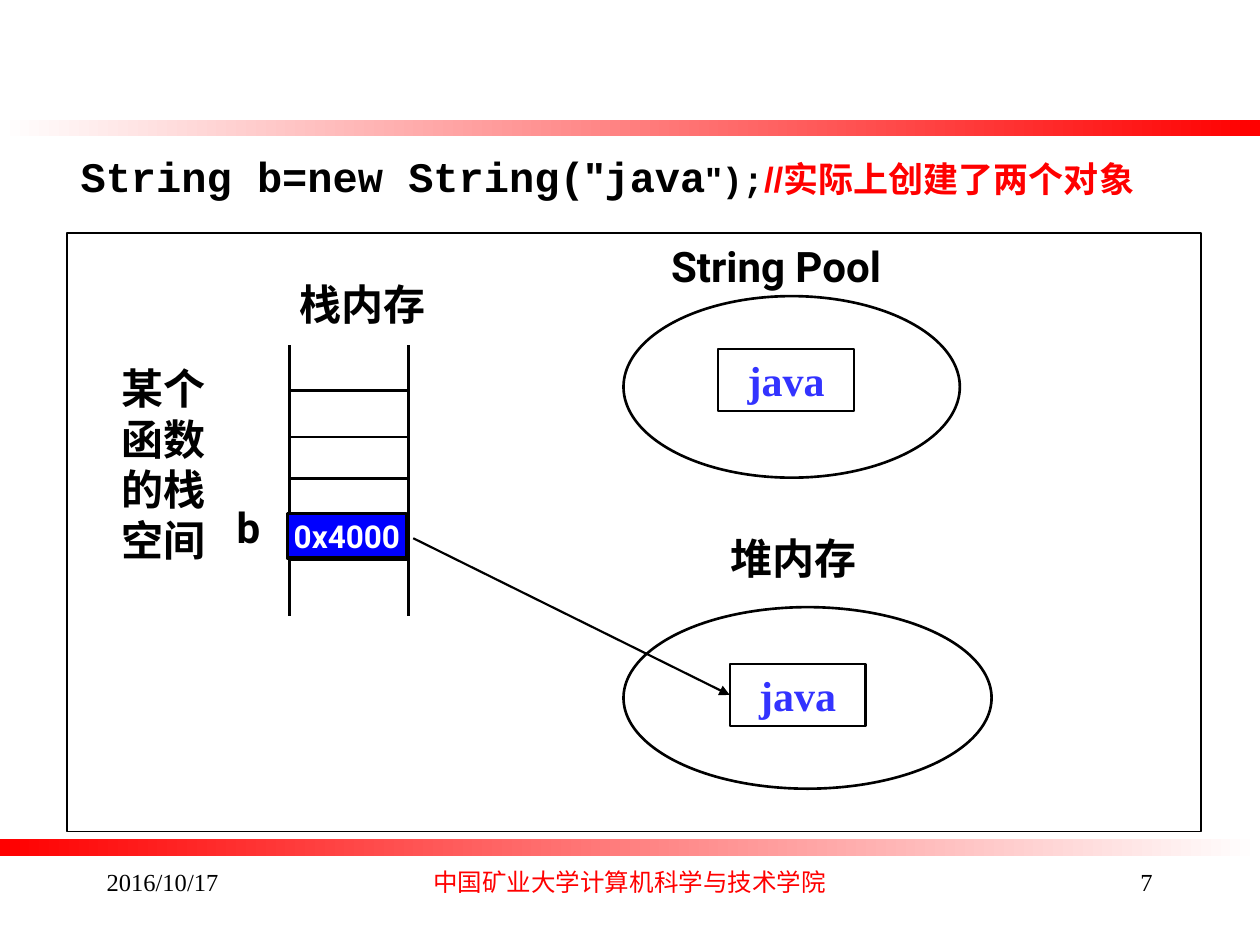
from collections import namedtuple
from dataclasses import dataclass

from lxml.etree import SubElement
from pptx import Presentation
from pptx.dml.color import RGBColor
from pptx.enum.shapes import MSO_CONNECTOR, MSO_SHAPE
from pptx.enum.text import MSO_ANCHOR, MSO_AUTO_SIZE, PP_ALIGN
from pptx.oxml.ns import qn
from pptx.util import Cm, Pt

Box = namedtuple("Box", "left top width height")  # centimetres


@dataclass(frozen=True)
class Theme:
    black: str = "000000"
    white: str = "FFFFFF"
    red: str = "FF0000"
    cell_blue: str = "0000FF"
    value_blue: str = "3333FF"
    sans: str = "Roboto"
    serif: str = "Times New Roman"
    code: str = "Courier New"
    title: str = "Arial"
    chinese: str = "Noto Sans CJK SC"
    large: int = 24
    medium: int = 20
    cell: int = 18
    footer: int = 14


THEME = Theme()


def rgb(value):
    return RGBColor.from_string(value)


def cm(box):
    return [Cm(value) for value in box]


def within(box, left, top, width, height):
    return Box(box.left + left, box.top + top, width, height)


def write(shape, text, font=THEME.sans, size=THEME.large, color=THEME.black,
          bold=True, align=PP_ALIGN.LEFT, anchor=MSO_ANCHOR.TOP, wrap=True):
    """Append one formatted run to the shape's first paragraph."""
    frame = shape.text_frame
    frame.auto_size = MSO_AUTO_SIZE.NONE
    frame.word_wrap = wrap
    frame.vertical_anchor = anchor
    paragraph = frame.paragraphs[0]
    paragraph.alignment = align
    run = paragraph.add_run()
    run.text = text
    run.font.name = font
    run.font.size = Pt(size)
    run.font.bold = bold
    run.font.color.rgb = rgb(color)
    SubElement(run.font._element, qn("a:ea"), typeface=THEME.chinese)


def add_label(slide, box, text, **text_format):
    write(slide.shapes.add_textbox(*cm(box)), text, **text_format)


def add_outlined(slide, kind, box, line_width, fill=THEME.white):
    shape = slide.shapes.add_shape(kind, *cm(box))
    shape.shadow.inherit = False
    shape.fill.solid()
    shape.fill.fore_color.rgb = rgb(fill)
    shape.line.color.rgb = rgb(THEME.black)
    shape.line.width = Pt(line_width)
    return shape


def add_line(slide, x1, y1, x2, y2, width=1.5):
    line = slide.shapes.add_connector(MSO_CONNECTOR.STRAIGHT, *cm((x1, y1, x2, y2)))
    line.line.color.rgb = rgb(THEME.black)
    line.line.width = Pt(width)
    SubElement(line._element.spPr, qn("a:effectLst"))
    return line


def add_bar(slide, box, colors):
    bar = slide.shapes.add_shape(MSO_SHAPE.RECTANGLE, *cm(box))
    bar.shadow.inherit = False
    bar.line.fill.background()
    bar.fill.gradient()
    bar.fill.gradient_angle = 0
    for stop, color, position in zip(bar.fill.gradient_stops, colors, (0, 1)):
        stop.color.rgb = rgb(color)
        stop.position = position


def add_title(slide, box):
    title = slide.shapes.title
    title.left, title.top, title.width, title.height = cm(box)
    runs = [
        ("String b=new String(", THEME.code, THEME.large, THEME.black),
        ('"', THEME.title, THEME.large, THEME.black),
        ("java", THEME.code, THEME.large, THEME.black),
        ('"', THEME.title, THEME.medium, THEME.black),
        (");", THEME.code, THEME.medium, THEME.black),
        ("//实际上创建了两个对象", THEME.title, THEME.medium, THEME.red),
    ]
    for text, font, size, color in runs:
        write(title, text, font=font, size=size, color=color)


def add_stack(slide, box):
    """Draw the open-ended stack with its labels and the cell of b."""
    right = box.left + box.width
    for x in (box.left, right):
        add_line(slide, x, box.top, x, box.top + box.height)
    for offset in (0.91, 1.85, 2.69, 3.48, 4.32):
        add_line(slide, box.left, box.top + offset, right, box.top + offset)

    add_label(slide, within(box, -3.63, 0.23, 2.36, 4.32), "某个函数的栈空间")
    add_label(slide, within(box, -0.05, -1.47, 3.07, 1.27), "栈内存", wrap=False)
    add_label(slide, within(box, -1.32, 3.02, 1.04, 1.27), "b", wrap=False)

    cell = add_outlined(slide, MSO_SHAPE.RECTANGLE, within(box, -0.05, 3.4, 2.41, 0.89),
                        1.75, fill=THEME.cell_blue)
    write(cell, "0x4000", size=THEME.cell, color=THEME.white,
          align=PP_ALIGN.CENTER, anchor=MSO_ANCHOR.MIDDLE, wrap=False)


def add_memory(slide, box, name, name_box, value_at):
    """Draw a memory area holding a string object, and return the object."""
    add_outlined(slide, MSO_SHAPE.OVAL, box, 1.5)
    add_label(slide, within(box, *name_box), name, wrap=False)
    value = add_outlined(slide, MSO_SHAPE.RECTANGLE,
                         within(box, *value_at, 2.74, 1.24), 1.25)
    write(value, "java", font=THEME.serif, color=THEME.value_blue,
          align=PP_ALIGN.CENTER, anchor=MSO_ANCHOR.MIDDLE, wrap=False)
    return value


def add_diagram(slide, box):
    add_outlined(slide, MSO_SHAPE.RECTANGLE, box, 0.75)
    add_stack(slide, within(box, 4.49, 2.26, 2.39, 5.46))
    add_memory(slide, within(box, 11.22, 1.27, 6.78, 3.66), "String Pool",
               (0.71, -1.25, 5.21, 1.27), (1.91, 1.07))
    heap_value = add_memory(slide, within(box, 11.22, 7.54, 7.42, 3.66), "堆内存",
                            (1.91, -1.62, 3.07, 1.27), (2.14, 1.15))

    # Reference from b to the heap object
    start_x, start_y = box.left + 6.98, box.top + 6.15
    arrow = add_line(slide, start_x, start_y, start_x, start_y, width=1.25)
    arrow.end_connect(heap_value, 1)
    SubElement(arrow.line._get_or_add_ln(), qn("a:tailEnd"), type="triangle")


def add_footer(slide, box):
    side, middle = 5.28, 8.64
    gap = (box.width - 2 * side - middle) / 2
    parts = [
        ("2016/10/17", side, PP_ALIGN.LEFT, THEME.serif, THEME.black),
        ("中国矿业大学计算机科学与技术学院", middle, PP_ALIGN.CENTER, THEME.chinese, THEME.red),
        ("7", side, PP_ALIGN.RIGHT, THEME.serif, THEME.black),
    ]
    left = 0
    for text, width, align, font, color in parts:
        add_label(slide, within(box, left, 0, width, box.height), text, font=font,
                  size=THEME.footer, color=color, bold=False, align=align)
        left += width + gap


def main():
    presentation = Presentation()
    presentation.slide_width, presentation.slide_height = Cm(25.4), Cm(19.05)
    slide = presentation.slides.add_slide(presentation.slide_layouts[5])
    add_bar(slide, Box(0, 2.41, 25.4, 0.33), (THEME.white, THEME.red))
    add_bar(slide, Box(0, 16.92, 25.4, 0.33), (THEME.red, THEME.white))
    add_title(slide, Box(1.37, 2.9, 21.92, 1.27))
    add_diagram(slide, Box(1.35, 4.7, 22.86, 12.07))
    add_footer(slide, Box(1.9, 17.35, 21.59, 1.27))
    presentation.save("out.pptx")


if __name__ == "__main__":
    main()
